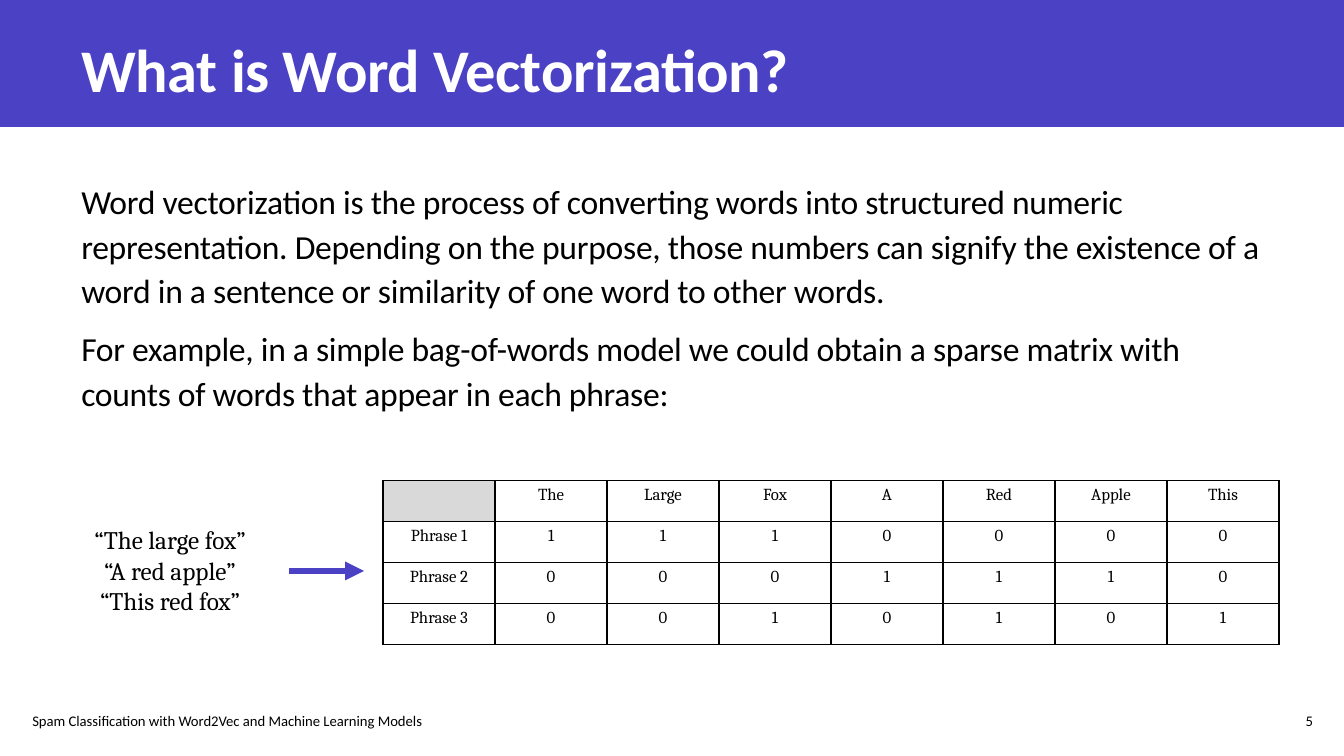
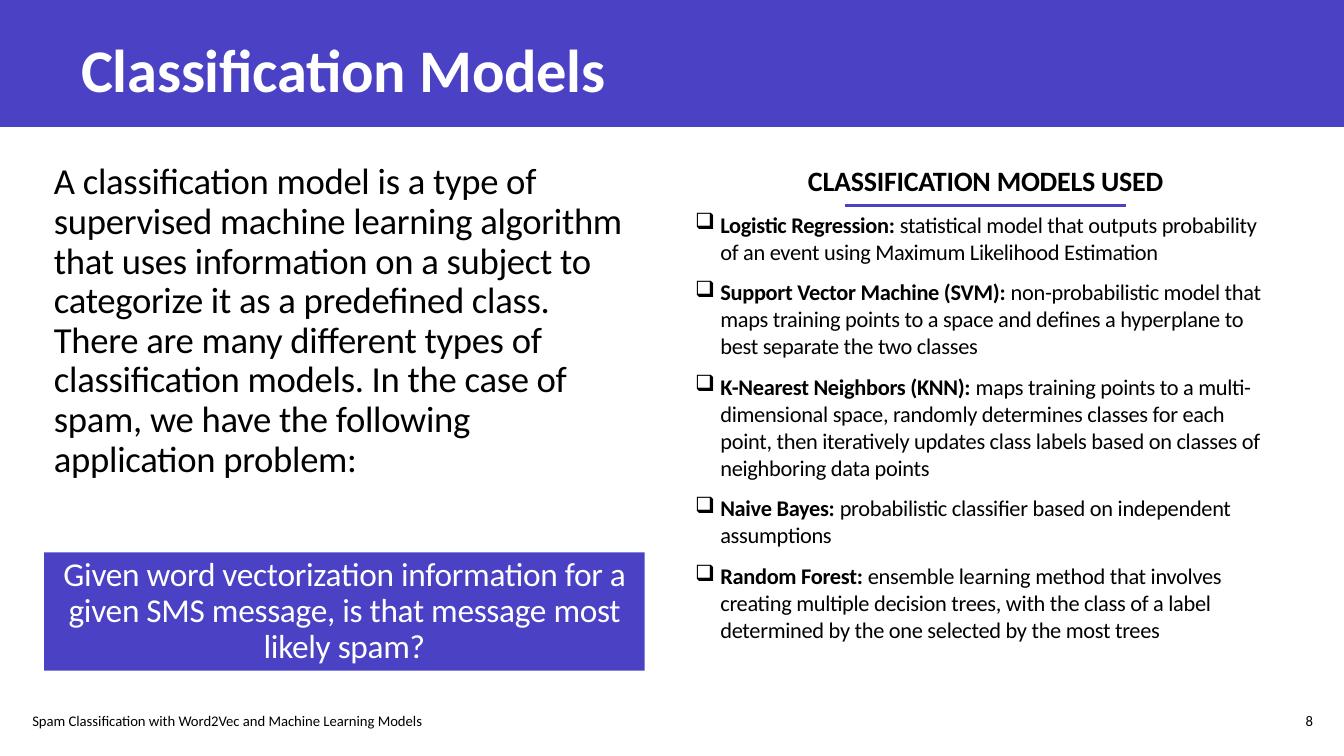
from collections import namedtuple
from dataclasses import dataclass

from lxml import etree
from pptx import Presentation
from pptx.dml.color import RGBColor
from pptx.enum import shapes, text
from pptx.oxml import ns
from pptx.util import Pt

Box = namedtuple("Box", "left top width height")
ALIGN = text.PP_ALIGN
ANCHOR = text.MSO_ANCHOR


@dataclass(frozen=True)
class Theme:
    accent: str = "4A41C5"
    ink: str = "000000"
    paper: str = "FFFFFF"
    shade: str = "D9D9D9"
    sans: str = "Calibri"
    serif: str = "Cambria"
    title: float = 43.2
    lead: float = 26.2
    body: float = 24
    callout: float = 23.8
    heading: float = 20
    quote: float = 18
    item: float = 16
    cell: float = 12
    footer: float = 10.5
    tight: float = -0.2


THEME = Theme()
FOOTER = "Spam Classification with Word2Vec and Machine Learning Models"


def add_xml(parent, tag, **attributes):
    return etree.SubElement(parent, ns.qn(tag), attributes)


def lengths(box):
    return [Pt(value) for value in box]


def write(para, content, size, font=THEME.sans, color=THEME.ink, bold=False,
          align=ALIGN.LEFT, line=None, before=0, after=0, spacing=0, bullet=None):
    para.alignment = align
    para.space_before = Pt(before)
    para.space_after = Pt(after)
    if line:
        para.line_spacing = line
    if bullet:
        properties = para._p.get_or_add_pPr()
        properties.set("marL", str(Pt(18)))
        properties.set("indent", str(-Pt(18)))
        add_xml(properties, "a:buChar", char=bullet)
    runs = [(content, bold)] if isinstance(content, str) else content
    for words, strong in runs:
        span = para.add_run()
        span.text = words
        span.font.size = Pt(size)
        span.font.name = font
        span.font.bold = strong
        span.font.color.rgb = RGBColor.from_string(color)
        if spacing:
            span._r.get_or_add_rPr().set("spc", str(round(spacing * 100)))


def fill_frame(frame, paragraphs, anchor=ANCHOR.TOP, before=0, **style):
    frame.word_wrap = True
    frame.vertical_anchor = anchor
    for index, content in enumerate(paragraphs):
        para = frame.add_paragraph() if index else frame.paragraphs[0]
        write(para, content, before=before if index else 0, **style)


def add_text(page, box, paragraphs, **style):
    frame = page.shapes.add_textbox(*lengths(box)).text_frame
    fill_frame(frame, paragraphs, **style)
    return frame


def add_panel(page, box):
    panel = page.shapes.add_shape(shapes.MSO_SHAPE.RECTANGLE, *lengths(box))
    panel.shadow.inherit = False
    panel.fill.solid()
    panel.fill.fore_color.rgb = RGBColor.from_string(THEME.accent)
    panel.line.fill.background()
    return panel


def add_rule(page, left, right, height, weight, arrow=False):
    rule = page.shapes.add_connector(
        shapes.MSO_CONNECTOR.STRAIGHT, Pt(left), Pt(height), Pt(right), Pt(height))
    rule.line.color.rgb = RGBColor.from_string(THEME.accent)
    rule.line.width = Pt(weight)
    if arrow:
        add_xml(rule.line._get_or_add_ln(), "a:tailEnd", type="triangle")
    add_xml(rule._element.spPr, "a:effectLst")


def add_page(deck, title, number):
    page = deck.slides.add_slide(deck.slide_layouts[6])
    add_panel(page, Box(0, 0, 960, 90.7))
    add_text(page, Box(51, 19, 789, 60), [title], anchor=ANCHOR.MIDDLE,
             size=THEME.title, color=THEME.paper, bold=True, spacing=THEME.tight)
    add_text(page, Box(16, 500.5, 381, 29), [FOOTER], anchor=ANCHOR.MIDDLE,
             size=THEME.footer, after=6)
    add_text(page, Box(895, 500.5, 50, 29), [str(number)], anchor=ANCHOR.MIDDLE,
             size=THEME.footer, align=ALIGN.RIGHT)
    return page


def style_cell(cell, words, fill):
    properties = cell._tc.get_or_add_tcPr()
    for side in ("a:lnL", "a:lnR", "a:lnT", "a:lnB"):
        border = add_xml(properties, side, w=str(Pt(1)))
        add_xml(add_xml(border, "a:solidFill"), "a:srgbClr", val=THEME.ink)
    if fill:
        cell.fill.solid()
        cell.fill.fore_color.rgb = RGBColor.from_string(fill)
    else:
        cell.fill.background()
    if words:
        write(cell.text_frame.paragraphs[0], words, THEME.cell,
              font=THEME.serif, align=ALIGN.CENTER)


def add_count_table(page, box, rows):
    table = page.shapes.add_table(len(rows), len(rows[0]), *lengths(box)).table
    table.first_row = False
    table.horz_banding = False
    for column in table.columns:
        column.width = Pt(box.width / len(rows[0]))
    for row_index, row in enumerate(rows):
        table.rows[row_index].height = Pt(box.height / len(rows))
        for column_index, words in enumerate(row):
            style_cell(table.cell(row_index, column_index), words,
                       None if words else THEME.shade)


def add_bag_of_words(page, box, phrases, vocabulary, counts):
    quotes = Box(box.left, box.top + 28, 141, 73)
    add_text(page, quotes, phrases, size=THEME.quote, font=THEME.serif,
             align=ALIGN.CENTER)
    arrow_left = quotes.left + quotes.width + 14.5
    add_rule(page, arrow_left, arrow_left + 53.5,
             quotes.top + quotes.height / 2, 4.5, arrow=True)
    rows = [["", *vocabulary]]
    for index, row in enumerate(counts, 1):
        rows.append([f"Phrase {index}", *map(str, row)])
    table_width = 640
    add_count_table(page, Box(box.left + box.width - table_width, box.top,
                              table_width, box.height), rows)


def add_problem(page, box, lead, question):
    add_text(page, box, [lead], size=THEME.lead, line=0.9, spacing=THEME.tight)
    panel = add_panel(page, Box(box.left, box.top + 281.5, box.width, 84.5))
    frame = panel.text_frame
    frame.margin_top = frame.margin_bottom = 0
    fill_frame(frame, [question], anchor=ANCHOR.MIDDLE, size=THEME.callout,
               color=THEME.paper, align=ALIGN.CENTER, line=0.9, spacing=THEME.tight)


def add_model_list(page, box, heading, models):
    frame = add_text(page, box, [heading], size=THEME.heading, bold=True,
                     align=ALIGN.CENTER, spacing=THEME.tight)
    for name, meaning in models:
        write(frame.add_paragraph(), [(f"{name}: ", True), (meaning, False)],
              THEME.item, before=10, spacing=THEME.tight, bullet="❑")
    middle = box.left + box.width / 2
    add_rule(page, middle - 100.5, middle + 100.5, box.top + 34, 2.25)


def build_vectorization(deck):
    page = add_page(deck, "What is Word Vectorization?", 5)
    add_text(page, Box(51, 123, 858, 181), [
        "Word vectorization is the process of converting words into structured "
        "numeric representation. Depending on the purpose, those numbers can "
        "signify the existence of a word in a sentence or similarity of one word "
        "to other words.",
        "For example, in a simple bag-of-words model we could obtain a sparse "
        "matrix with counts of words that appear in each phrase:",
    ], size=THEME.body, line=1.1, before=10, spacing=THEME.tight)
    add_bag_of_words(
        page, Box(51, 343.3, 862.6, 117.2),
        ["“The large fox”", "“A red apple”", "“This red fox”"],
        ["The", "Large", "Fox", "A", "Red", "Apple", "This"],
        [[1, 1, 1, 0, 0, 0, 0], [0, 0, 0, 1, 1, 1, 0], [0, 0, 1, 0, 1, 0, 1]])


def build_models(deck):
    page = add_page(deck, "Classification Models", 8)
    add_problem(
        page, Box(31.5, 113, 429, 270),
        "A classification model is a type of supervised machine learning algorithm "
        "that uses information on a subject to categorize it as a predefined class. "
        "There are many different types of classification models. In the case of "
        "spam, we have the following application problem:",
        "Given word vectorization information for a given SMS message, is that "
        "message most likely spam?")
    add_model_list(page, Box(489.5, 113, 429, 370), "CLASSIFICATION MODELS USED", [
        ("Logistic Regression",
         "statistical model that outputs probability of an event using Maximum "
         "Likelihood Estimation"),
        ("Support Vector Machine (SVM)",
         "non-probabilistic model that maps training points to a space and defines "
         "a hyperplane to best separate the two classes"),
        ("K-Nearest Neighbors (KNN)",
         "maps training points to a multi-dimensional space, randomly determines "
         "classes for each point, then iteratively updates class labels based on "
         "classes of neighboring data points"),
        ("Naive Bayes",
         "probabilistic classifier based on independent assumptions"),
        ("Random Forest",
         "ensemble learning method that involves creating multiple decision trees, "
         "with the class of a label determined by the one selected by the most trees"),
    ])


def main():
    deck = Presentation()
    deck.slide_width = Pt(960)
    deck.slide_height = Pt(540)
    build_vectorization(deck)
    build_models(deck)
    deck.save("out.pptx")


if __name__ == "__main__":
    main()
